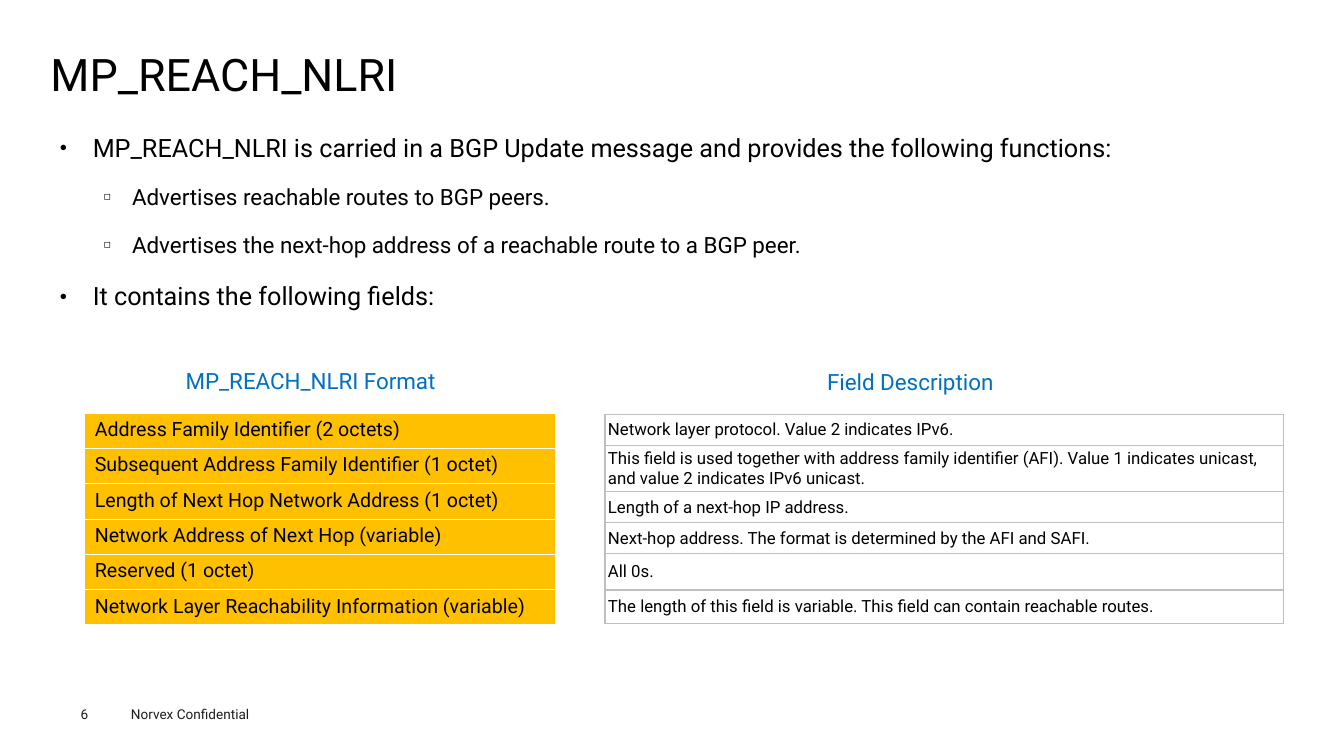
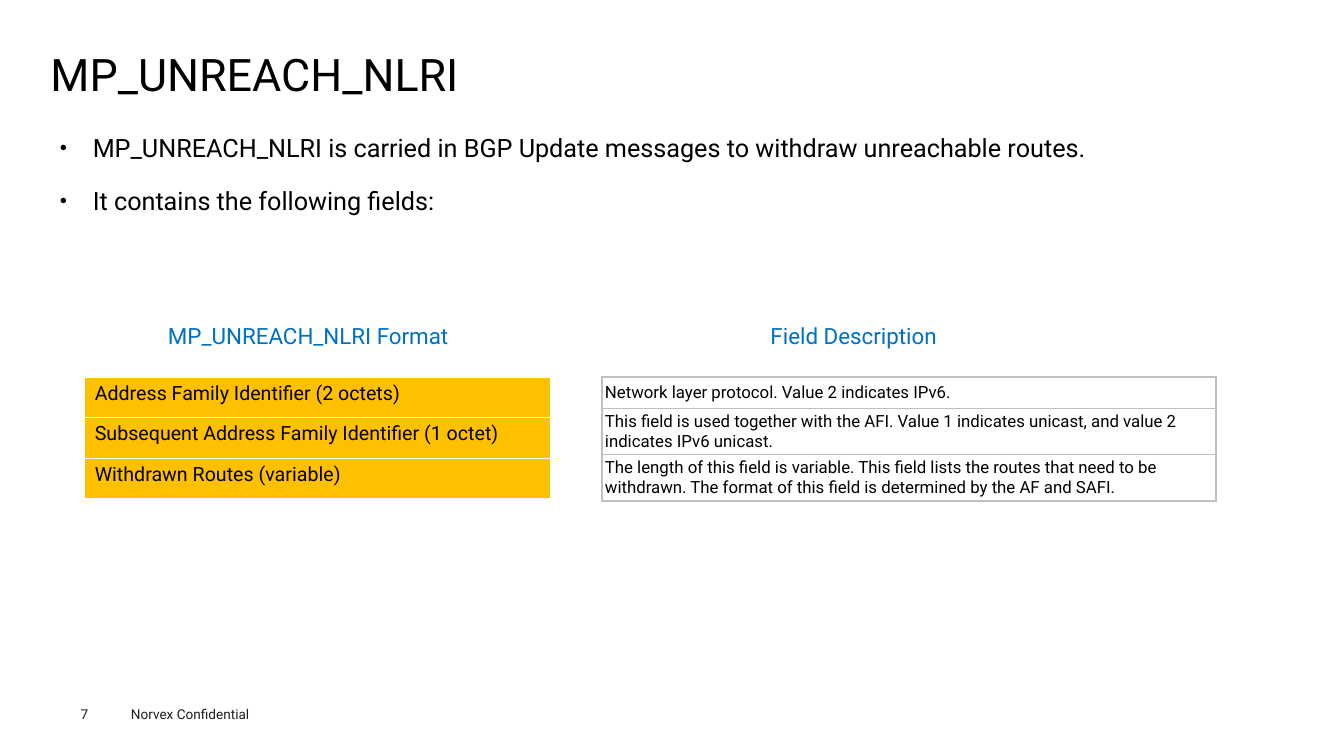
import collections

import pptx
import pptx.dml.color
import pptx.enum.text
import pptx.oxml
import pptx.oxml.ns
import pptx.util
from lxml import etree

RGBColor = pptx.dml.color.RGBColor
Inches, Pt = pptx.util.Inches, pptx.util.Pt
ALIGN, ANCHOR = pptx.enum.text.PP_ALIGN, pptx.enum.text.MSO_ANCHOR
Box = collections.namedtuple("Box", "left top width height")
# Look of one table: cell fill, line colour, text size, cell inset (x, y), anchor
Look = collections.namedtuple("Look", "fill line size inset anchor")

# Shared style
FONT = "Roboto"
BLACK = RGBColor(0, 0, 0)
WHITE = RGBColor(0xFF, 0xFF, 0xFF)
INK = RGBColor(0x1D, 0x1D, 0x1B)
BLUE = RGBColor(0x00, 0x70, 0xC0)
AMBER = RGBColor(0xFF, 0xC0, 0x00)
GREY = RGBColor(0xBF, 0xBF, 0xBF)
FORMAT_LOOK = Look(AMBER, WHITE, 14, (0.1, 0.05), ANCHOR.TOP)
DESCRIPTION_LOOK = Look(None, GREY, 12, (0.03, 0.03), ANCHOR.MIDDLE)

# Shared layout, in inches
SLIDE_WIDTH, SLIDE_HEIGHT = 13.33, 7.5
TITLE = Box(0.5, 0.49, 12.35, 0.54)
BODY = Box(0.5, 1.15, 12.35, 5.33)
PAGE_NUMBER = Box(0.8, 7, 0.55, 0.16)
FOOTER = Box(1.2, 6.95, 1.6, 0.27)
HEADING_WIDTH, HEADING_HEIGHT = 4.8, 0.37
FIRST_PAGE = 6

# Per list level: size, left indent, hanging indent, space before, bullet, alignment
LEVELS = [(18, 0.33, 0.33, 7.9, "●", ALIGN.JUSTIFY),
          (16, 0.72, 0.28, 7.2, "◻", ALIGN.LEFT)]


def write(paragraph, text, size=12, color=BLACK, align=ALIGN.LEFT, spacing=1.0, before=0):
    """Put formatted text in a paragraph."""
    paragraph.alignment = align
    paragraph.line_spacing = spacing
    paragraph.space_before = Pt(before)
    run = paragraph.add_run()
    run.text = text
    run.font.name, run.font.size = FONT, Pt(size)
    run.font.color.rgb = color


def set_insets(target, x, y):
    target.margin_left = target.margin_right = Inches(x)
    target.margin_top = target.margin_bottom = Inches(y)


def place(placeholder, box, inset=(0, 0), anchor=ANCHOR.TOP):
    """Move a placeholder to a box and return its text frame."""
    placeholder.left, placeholder.top, placeholder.width, placeholder.height = map(Inches, box)
    frame = placeholder.text_frame
    frame.auto_size = pptx.enum.text.MSO_AUTO_SIZE.NONE
    frame.vertical_anchor = anchor
    set_insets(frame, *inset)
    return frame


def add_label(slide, box, text, inset=(0.1, 0.05), **style):
    frame = slide.shapes.add_textbox(*map(Inches, box)).text_frame
    frame.word_wrap = True
    set_insets(frame, *inset)
    write(frame.paragraphs[0], text, **style)


def add_bullet(paragraph, left, hanging, mark):
    properties = paragraph._p.get_or_add_pPr()
    properties.set("marL", str(Inches(left)))
    properties.set("indent", str(-Inches(hanging)))
    for tag, key, value in (("a:buSzPct", "val", "50000"), ("a:buChar", "char", mark)):
        etree.SubElement(properties, pptx.oxml.ns.qn(tag)).set(key, value)


def add_borders(cell, color):
    properties = cell._tc.get_or_add_tcPr()
    for position, side in enumerate(("lnL", "lnR", "lnT", "lnB")):
        properties.insert(position, pptx.oxml.parse_xml(
            f'<a:{side} {pptx.oxml.ns.nsdecls("a")} w="12700"><a:solidFill>'
            f'<a:srgbClr val="{color}"/></a:solidFill></a:{side}>'))


def add_footer(slide, page):
    add_label(slide, FOOTER, "Norvex Confidential", size=9.7, color=INK)
    add_label(slide, PAGE_NUMBER, str(page), inset=(0, 0), size=9.7, color=INK)


def add_list(placeholder, points):
    frame = place(placeholder, BODY, inset=(0.09, 0.04))
    for index, (level, text) in enumerate(points):
        size, left, hanging, before, mark, align = LEVELS[level]
        paragraph = frame.add_paragraph() if index else frame.paragraphs[0]
        paragraph.level = level
        write(paragraph, text, size=size, align=align, spacing=1.4, before=before)
        add_bullet(paragraph, left, hanging, mark)


def add_field_panel(slide, box, look, heading, heading_share, heading_rise, rows):
    """One-column table in a box; its heading is centred at a share of the width."""
    heading_left = box.left + box.width * heading_share - HEADING_WIDTH / 2
    add_label(slide, Box(heading_left, box.top - heading_rise, HEADING_WIDTH, HEADING_HEIGHT),
              heading, size=16, color=BLUE, align=ALIGN.CENTER)

    table = slide.shapes.add_table(len(rows), 1, *map(Inches, box)).table
    table.first_row = table.horz_banding = False
    total = sum(weight for weight, _ in rows)
    for row, (weight, text) in zip(table.rows, rows):
        row.height = Inches(box.height * weight / total)
        cell = row.cells[0]
        set_insets(cell, *look.inset)
        cell.vertical_anchor = look.anchor
        if look.fill is None:
            cell.fill.background()
        else:
            cell.fill.solid()
            cell.fill.fore_color.rgb = look.fill
        add_borders(cell, look.line)
        write(cell.text_frame.paragraphs[0], text, size=look.size)


def add_attribute_slide(deck, page, title, points, heading_rise, panels):
    """Title, list, and the format and description panels of a BGP attribute."""
    slide = deck.slides.add_slide(deck.slide_layouts[1])
    add_footer(slide, page)
    title_frame = place(slide.shapes.title, TITLE, anchor=ANCHOR.MIDDLE)
    write(title_frame.paragraphs[0], title, size=32, spacing=0.9)
    add_list(slide.placeholders[1], points)
    headings = (f"{title} Format", "Field Description")
    for heading, look, (box, share, rows) in zip(headings, (FORMAT_LOOK, DESCRIPTION_LOOK), panels):
        add_field_panel(slide, box, look, heading, share, heading_rise, rows)


# Content: title, list, heading rise, then (box, heading share, weighted rows) per panel
AFI = "Address Family Identifier (2 octets)"
SAFI = "Subsequent Address Family Identifier (1 octet)"
PROTOCOL = "Network layer protocol. Value 2 indicates IPv6."
FIELDS_POINT = (0, "It contains the following fields:")

ATTRIBUTES = [
    ("MP_REACH_NLRI",
     [(0, "MP_REACH_NLRI is carried in a BGP Update message and provides the following functions:"),
      (1, "Advertises reachable routes to BGP peers."),
      (1, "Advertises the next-hop address of a reachable route to a BGP peer."),
      FIELDS_POINT],
     0.51,
     [(Box(0.84, 4.1, 4.67, 2.1), 0.48,
       [(1, AFI),
        (1, SAFI),
        (1, "Length of Next Hop Network Address (1 octet)"),
        (1, "Network Address of Next Hop (variable)"),
        (1, "Reserved (1 octet)"),
        (1, "Network Layer Reachability Information (variable)")]),
      (Box(6, 4.11, 6.73, 2.07), 0.45,
       [(0.31, PROTOCOL),
        (0.46, "This field is used together with address family identifier (AFI). "
               "Value 1 indicates unicast, and value 2 indicates IPv6 unicast."),
        (0.31, "Length of a next-hop IP address."),
        (0.31, "Next-hop address. The format is determined by the AFI and SAFI."),
        (0.36, "All 0s."),
        (0.33, "The length of this field is variable. This field can contain reachable routes.")])]),
    ("MP_UNREACH_NLRI",
     [(0, "MP_UNREACH_NLRI is carried in BGP Update messages to withdraw unreachable routes."),
      FIELDS_POINT],
     0.59,
     [(Box(0.84, 3.74, 4.62, 1.21), 0.48,
       [(1, AFI),
        (1, SAFI),
        (1, "Withdrawn Routes (variable)")]),
      (Box(5.97, 3.74, 6.09, 1.21), 0.41,
       [(0.31, PROTOCOL),
        (0.45, "This field is used together with the AFI. Value 1 indicates unicast, "
               "and value 2 indicates IPv6 unicast."),
        (0.45, "The length of this field is variable. This field lists the routes that need "
               "to be withdrawn. The format of this field is determined by the AF and SAFI.")])]),
]


def main():
    deck = pptx.Presentation()
    deck.slide_width, deck.slide_height = Inches(SLIDE_WIDTH), Inches(SLIDE_HEIGHT)
    for page, attribute in enumerate(ATTRIBUTES, FIRST_PAGE):
        add_attribute_slide(deck, page, *attribute)
    deck.save("out.pptx")


if __name__ == "__main__":
    main()
